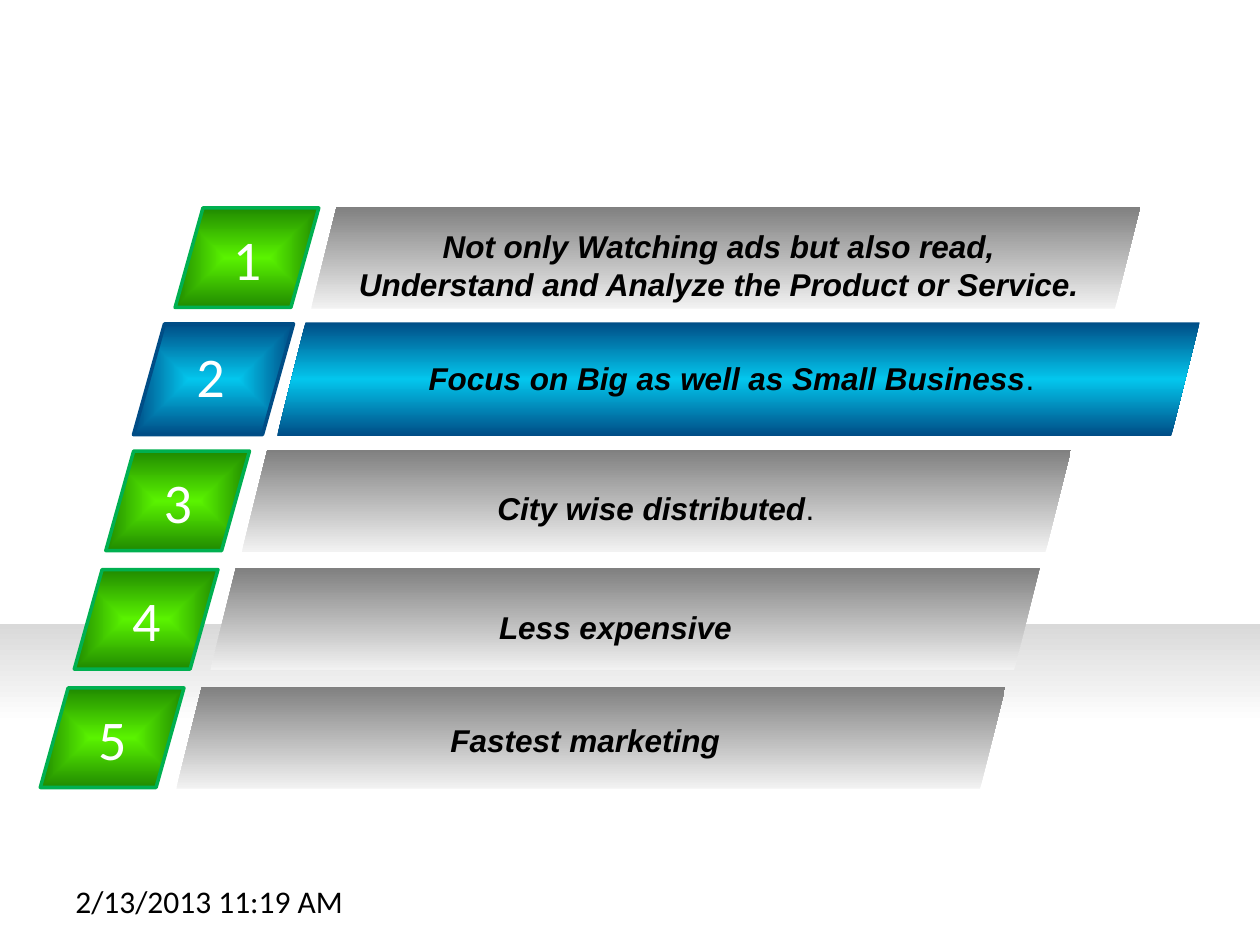
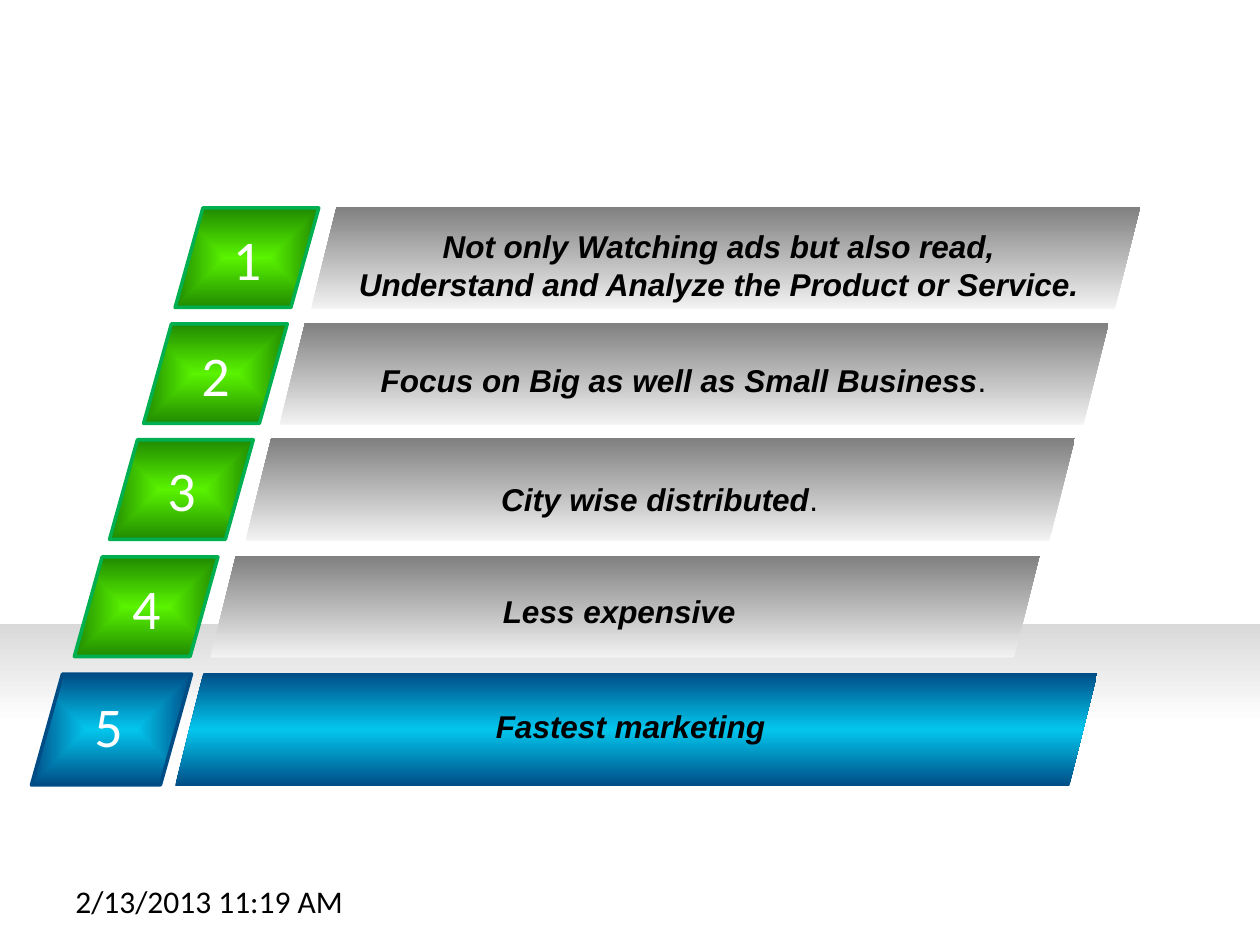
from pptx import Presentation
from pptx.dml.color import RGBColor
from pptx.enum.shapes import MSO_SHAPE
from pptx.enum.text import MSO_AUTO_SIZE, PP_ALIGN
from pptx.oxml import parse_xml
from pptx.oxml.ns import nsdecls, qn
from pptx.oxml.xmlchemy import OxmlElement
from pptx.util import Inches, Pt

COLORS = {
    "white": "FFFFFF",
    "black": "000000",
    "band": "D9D9D9",
    "bar_light": "F2F2F2",
    "bar_dark": "808080",
    "green_light": "5AF300",
    "green_dark": "208A00",
    "green_line": "00B050",
    "blue_light": "03C6ED",
    "blue_dark": "004D86",
}

UPWARD = '<a:lin ang="16200000" scaled="0"/>'
FROM_CENTER = (
    '<a:path path="shape"><a:fillToRect l="50000" t="50000" r="50000" b="50000"/></a:path>'
)

NORMAL = {
    "bar_size": (6.58, 0.81),
    "bar_stops": [(0, "bar_light"), (100, "bar_dark")],
    "badge_size": (1.14, 0.79),
    "badge_offset": (-1.08, 0.01),
    "badge_stops": [(0, "green_light"), (100, "green_dark")],
    "badge_line": "green_line",
    "number_box": (0.36, 0.08, 0.43, 0.64),
    "label_width": 5.91,
}
HIGHLIGHT = {
    "bar_size": (7.32, 0.9),
    "bar_stops": [(0, "blue_dark"), (50, "blue_light"), (100, "blue_dark")],
    "badge_size": (1.27, 0.88),
    "badge_offset": (-1.14, 0.01),
    "badge_stops": [(0, "blue_light"), (100, "blue_dark")],
    "badge_line": "blue_dark",
    "number_box": (0.4, 0.09, 0.48, 0.63),
    "label_width": 6.57,
}

BENEFITS = [
    ("Not only Watching ads but also read, Understand and Analyze the Product or Service.", "", 0.71),
    ("Focus on Big as well as Small Business", ".", 0.4),
    ("City wise distributed", ".", 0.4),
    ("Less expensive", "", 0.4),
    ("Fastest marketing", "", 0.4),
]

SLIDES = [
    {
        "highlighted": 2,
        "bars": [(2.47, 1.64), (2.2, 2.56), (1.92, 3.57), (1.67, 4.51), (1.4, 5.45)],
        "labels": [(2.75, 1.75), (2.52, 2.8), (2.25, 3.83), (1.93, 4.78), (1.69, 5.67)],
    },
    {
        "highlighted": 5,
        "bars": [(2.47, 1.64), (2.22, 2.56), (1.95, 3.48), (1.67, 4.41), (1.39, 5.34)],
        "labels": [(2.75, 1.75), (2.47, 2.82), (2.28, 3.76), (1.96, 4.65), (1.72, 5.56)],
    },
]


def color(name):
    return RGBColor.from_string(COLORS[name])


def add_gradient_shape(shapes, kind, box, stops, direction):
    shape = shapes.add_shape(kind, *map(Inches, box))
    shape.shadow.inherit = False
    shape.line.fill.background()
    shape.fill.solid()
    stop_list = "".join(
        f'<a:gs pos="{position * 1000}"><a:srgbClr val="{COLORS[name]}"/></a:gs>'
        for position, name in stops
    )
    gradient = parse_xml(
        f'<a:gradFill {nsdecls("a")} rotWithShape="1">'
        f"<a:gsLst>{stop_list}</a:gsLst>{direction}</a:gradFill>"
    )
    properties = shape.element.spPr
    properties.replace(properties.find(qn("a:solidFill")), gradient)
    return shape


def add_text(shapes, box, text, font_name, size, tint):
    text_box = shapes.add_textbox(*map(Inches, box))
    text_box.text_frame.word_wrap = True
    para = text_box.text_frame.paragraphs[0]
    para.add_run().text = text
    para.font.name = font_name
    para.font.size = Pt(size)
    para.font.color.rgb = color(tint)
    return text_box


def add_floor_band(page):
    add_gradient_shape(
        page.shapes, MSO_SHAPE.RECTANGLE, (0, 4.95, 10, 2.02),
        [(0, "white"), (61, "white"), (100, "band")], UPWARD,
    )


def add_badge(page, left, top, number, style):
    group = page.shapes.add_group_shape()
    badge = add_gradient_shape(
        group.shapes, MSO_SHAPE.PARALLELOGRAM, (left, top, *style["badge_size"]),
        style["badge_stops"], FROM_CENTER,
    )
    badge.adjustments[0] = 0.28
    badge.line.color.rgb = color(style["badge_line"])
    badge.line.width = Pt(2)
    badge.element.spPr.find(qn("a:ln")).append(OxmlElement("a:round"))
    across, down, width, height = style["number_box"]
    add_text(
        group.shapes, (left + across, top + down, width, height),
        str(number), "Calibri", 32, "white",
    )


def add_label(page, left, top, width, benefit):
    statement, ending, height = benefit
    label = add_text(page.shapes, (left, top, width, height), statement, "Arial", 18, "black")
    frame = label.text_frame
    frame.auto_size = MSO_AUTO_SIZE.SHAPE_TO_FIT_TEXT
    frame.margin_left = frame.margin_right = Inches(0.06)
    para = frame.paragraphs[0]
    para.alignment = PP_ALIGN.CENTER
    para.runs[0].font.bold = True
    para.runs[0].font.italic = True
    if ending:
        para.add_run().text = ending


def add_benefit(page, number, benefit, bar_place, label_place, style):
    left, top = bar_place
    across, down = style["badge_offset"]
    add_badge(page, left + across, top + down, number, style)
    add_gradient_shape(
        page.shapes, MSO_SHAPE.PARALLELOGRAM, (left, top, *style["bar_size"]),
        style["bar_stops"], UPWARD,
    )
    add_label(page, *label_place, style["label_width"], benefit)


def add_date(page):
    add_text(page.shapes, (0.5, 6.95, 2.33, 0.4), "2/13/2013 11:19 AM", "Calibri", 18, "black")


def build_benefits_slide(deck, content):
    page = deck.slides.add_slide(deck.slide_layouts[6])
    add_floor_band(page)
    rows = zip(BENEFITS, content["bars"], content["labels"])
    for number, (benefit, bar_place, label_place) in enumerate(rows, 1):
        style = HIGHLIGHT if number == content["highlighted"] else NORMAL
        add_benefit(page, number, benefit, bar_place, label_place, style)
    add_date(page)


def main():
    deck = Presentation()
    deck.slide_width = Inches(10)
    deck.slide_height = Inches(7.5)
    for content in SLIDES:
        build_benefits_slide(deck, content)
    deck.save("out.pptx")


if __name__ == "__main__":
    main()
